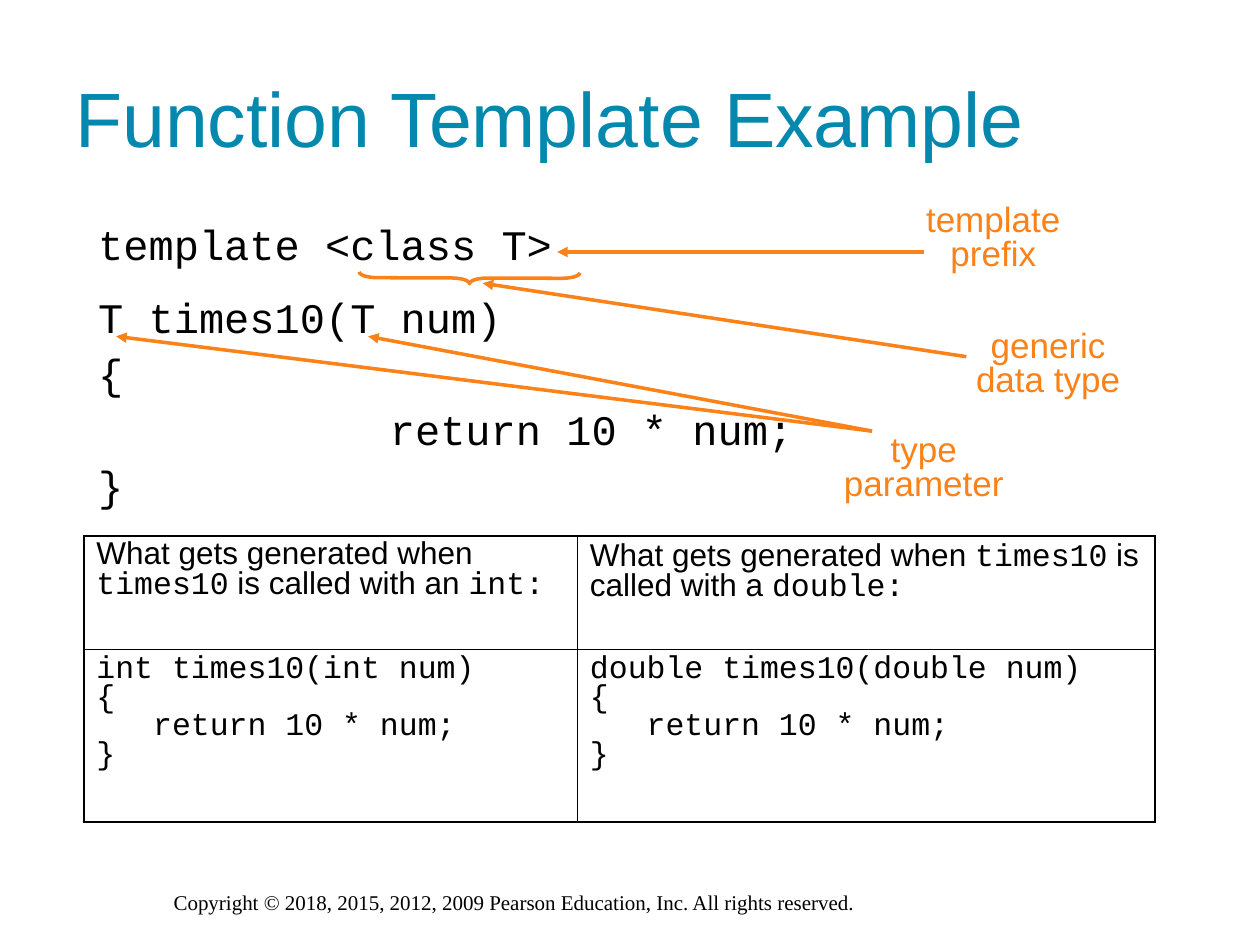
from lxml.etree import SubElement
from pptx import Presentation
from pptx.dml.color import RGBColor
from pptx.enum.shapes import MSO_CONNECTOR, MSO_SHAPE
from pptx.enum.text import MSO_ANCHOR, PP_ALIGN
from pptx.oxml.ns import qn
from pptx.util import Cm, Pt

BLACK = RGBColor(0x00, 0x00, 0x00)
BLUE = RGBColor(0x04, 0x88, 0xAE)
ORANGE = RGBColor(0xFA, 0x82, 0x18)
SANS, MONO, SERIF = "Arial", "Courier New", "Times New Roman"

presentation = Presentation()
presentation.slide_width, presentation.slide_height = Cm(25.4), Cm(19.05)
slide = presentation.slides.add_slide(presentation.slide_layouts[6])
shapes = slide.shapes


def add_text(left, top, width, height, lines, font, size, color):
    """Add a text box with one paragraph per line and return its text frame."""
    box = shapes.add_textbox(Cm(left), Cm(top), Cm(width), Cm(height))
    text_frame = box.text_frame
    text_frame.word_wrap = True
    text_frame.text = "\n".join(lines)
    for paragraph in text_frame.paragraphs:
        paragraph.font.name = font
        paragraph.font.size = Pt(size)
        paragraph.font.color.rgb = color
    return text_frame


def add_border(cell, side, width):
    properties = cell._tc.get_or_add_tcPr()
    line = SubElement(properties, qn(f"a:ln{side}"), w=str(Pt(width)))
    fill = SubElement(line, qn("a:solidFill"))
    SubElement(fill, qn("a:srgbClr"), val=str(BLACK))


# Footer and title
add_text(3.25, 17.8, 18.85, 0.76,
         ["Copyright © 2018, 2015, 2012, 2009 Pearson Education, Inc. All rights reserved."],
         SERIF, 12, BLACK)
title = add_text(1.27, 0.76, 22.86, 3.18, ["Function Template Example"], SANS, 44, BLUE)
title.vertical_anchor = MSO_ANCHOR.MIDDLE

# Template code: (text, left indent in cm, space before in points)
code_lines = [
    ("template <class T>", 1.27, 0),
    ("T times10(T num)", 1.27, 16),
    ("{", 1.27, 6),
    ("return 10 * num;", 7.15, 6),
    ("}", 1.27, 6),
]
code = add_text(0.46, 4.39, 23.04, 12.7, [line[0] for line in code_lines], MONO, 24, BLACK)
for paragraph, (_, indent, space) in zip(code.paragraphs, code_lines):
    paragraph.line_spacing = 0.9
    paragraph.space_before = Pt(space)
    paragraph._p.get_or_add_pPr().set("marL", str(Cm(indent)))

# Callouts
callouts = [
    (18.41, 4.03, 3.23, ["template", "prefix"]),
    (19.23, 6.57, 3.8, ["generic", "data type"]),
    (16.76, 8.66, 3.73, ["type", "parameter"]),
]
for left, top, width, lines in callouts:
    callout = add_text(left, top, width, 1.63, lines, SANS, 20, ORANGE)
    callout.word_wrap = False
    for paragraph in callout.paragraphs:
        paragraph.alignment = PP_ALIGN.CENTER
        paragraph.line_spacing = 0.8

# Arrows from the callouts to the code
arrows = [
    (18.62, 5.08, 11.23, 5.08),
    (19.48, 7.19, 9.73, 5.71),
    (17.58, 8.69, 7.42, 6.78),
    (17.58, 8.69, 2.34, 6.78),
]
for ends in arrows:
    arrow = shapes.add_connector(MSO_CONNECTOR.STRAIGHT, *[Cm(end) for end in ends])
    arrow.line.color.rgb = ORANGE
    arrow.line.width = Pt(2)
    SubElement(arrow.line._get_or_add_ln(), qn("a:tailEnd"), type="triangle")
    SubElement(arrow._element.spPr, qn("a:effectLst"))

# Brace under "class T"
brace = shapes.add_shape(MSO_SHAPE.RIGHT_BRACE, Cm(9.35), Cm(3.38), Cm(0.23), Cm(4.45))
brace.rotation = 90.2
brace.adjustments[0] = 1.6
brace.shadow.inherit = False
brace.fill.background()
brace.line.color.rgb = ORANGE
brace.line.width = Pt(2)

# Generated functions
generated = [("an", "int"), ("a", "double")]
cell_rows = [
    [[[("What gets generated when ", SANS), ("times10", MONO),
       (f" is called with {article} ", SANS), (f"{kind}:", MONO)]]
     for article, kind in generated],
    [[[(line, MONO)] for line in
      (f"{kind} times10({kind} num)", "{", "   return 10 * num;", "}")]
     for _, kind in generated],
]
table = shapes.add_table(2, 2, Cm(1.69), Cm(10.8), Cm(21.59), Cm(5.77)).table
table.first_row = table.horz_banding = False
for column, width in zip(table.columns, (9.95, 11.64)):
    column.width = Cm(width)
for row, height in zip(table.rows, (2.29, 3.48)):
    row.height = Cm(height)

OUTER, INNER = 1.08, 0.45
for row_index, row in enumerate(cell_rows):
    for column_index, paragraphs in enumerate(row):
        cell = table.cell(row_index, column_index)
        add_border(cell, "L", INNER if column_index else OUTER)
        add_border(cell, "R", OUTER if column_index else INNER)
        add_border(cell, "T", INNER if row_index else OUTER)
        add_border(cell, "B", OUTER if row_index else INNER)
        cell.fill.background()
        for index, runs in enumerate(paragraphs):
            text_frame = cell.text_frame
            paragraph = text_frame.add_paragraph() if index else text_frame.paragraphs[0]
            paragraph.line_spacing = 0.8
            for text, font in runs:
                run = paragraph.add_run()
                run.text = text
                run.font.name = font
                run.font.size = Pt(18)
                run.font.color.rgb = BLACK

presentation.save("out.pptx")
